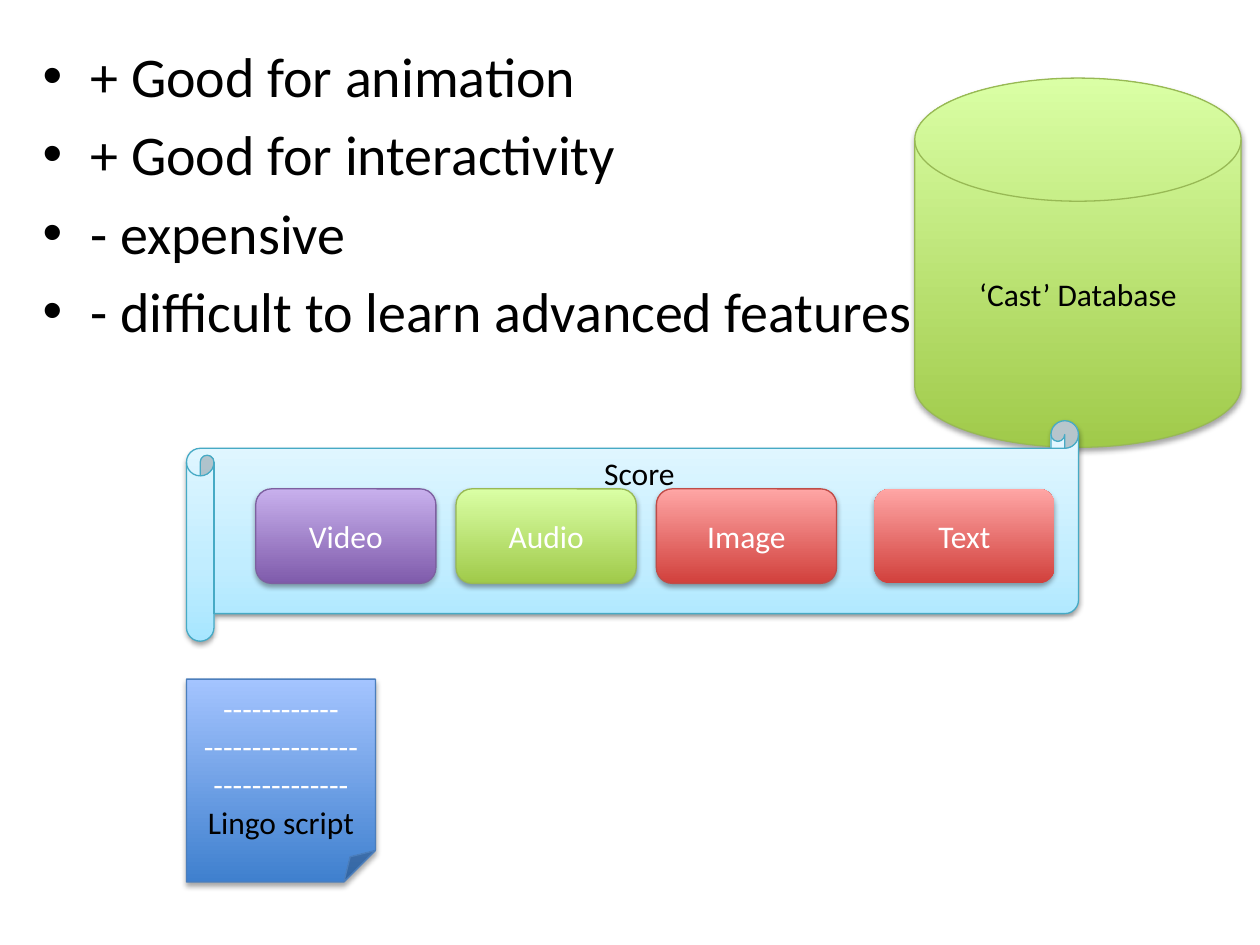
from copy import deepcopy

from lxml.etree import SubElement
from pptx import Presentation
from pptx.dml.color import RGBColor as RGB
from pptx.enum.shapes import MSO_SHAPE as SHAPE
from pptx.enum.text import MSO_ANCHOR as ANCHOR, PP_ALIGN as ALIGN
from pptx.oxml.ns import qn
from pptx.util import Inches, Pt

# Gradients run from bottom to top as (position, colour)
THEME = {
    "font": "Calibri", "body": 32, "label": 18,
    "dark": "000000", "light": "FFFFFF",
    "green": ([(0, "A0CA4A"), (1, "DAFFA5")], "98B955"),
    "blue": ([(0, "3F80CE"), (1, "A4C4FF")], "4B7EBC"),
    "aqua": ([(0, "A7E6FF"), (0.35, "C1EDFF"), (1, "E7F8FF")], "46AAC5"),
    "purple": ([(0, "7F5BAB"), (1, "C8B0ED")], "7D60A0"),
    "red": ([(0, "D1403C"), (1, "FFA6A5")], "BF4C48"),
    "red plain": ([(0, "D1403C"), (1, "FFA6A5")], None),
}

prs = Presentation()
prs.slide_width, prs.slide_height = Inches(10), Inches(7.5)
s = prs.slides.add_slide(prs.slide_layouts[6])
COL, ROW = prs.slide_width / 100, prs.slide_height / 100


def style(r, size, color):
    r.font.name, r.font.size = THEME["font"], Pt(THEME[size])
    r.font.color.rgb = RGB.from_string(THEME[color])


def add_block(kind, x, y, w, h, paint, lines, color, shadow=(1.8, 35)):
    """Add a gradient shape with a soft shadow; place and size are in COL and ROW."""
    sp = s.shapes.add_shape(kind, int(x * COL), int(y * ROW), int(w * COL), int(h * ROW))
    stops, outline = THEME[paint]
    spPr = sp._element.spPr

    # Fill and outline
    sp.fill.gradient()
    sp.fill.gradient_angle = 90
    gs = spPr.find(".//" + qn("a:gsLst"))
    while len(gs) < len(stops):
        gs.insert(1, deepcopy(gs[0]))
    for stop, (position, tint) in zip(sp.fill.gradient_stops, stops):
        stop.position, stop.color.rgb = position, RGB.from_string(tint)
    if outline:
        sp.line.color.rgb, sp.line.width = RGB.from_string(outline), Pt(0.75)
    else:
        sp.line.fill.background()

    # Shadow
    distance, opacity = shadow
    sp.shadow.inherit = False
    outer = SubElement(spPr.find(qn("a:effectLst")), qn("a:outerShdw"), blurRad=str(Pt(3.1)),
                       dist=str(Pt(distance)), dir="5400000", rotWithShape="0")
    black = SubElement(outer, qn("a:srgbClr"), val=THEME["dark"])
    SubElement(black, qn("a:alpha"), val=str(opacity * 1000))

    # Label
    tf = sp.text_frame
    tf.word_wrap, tf.vertical_anchor = True, ANCHOR.MIDDLE
    tf.text = "\n".join(lines)
    for p in tf.paragraphs:
        p.alignment = ALIGN.CENTER
        for r in p.runs:
            style(r, "label", color)
    return sp


# Pros and cons
tf = s.shapes.add_textbox(int(2.4 * COL), int(3.73 * ROW), 90 * COL, 48 * ROW).text_frame
tf.word_wrap = True
tf.text = "\n".join(["+ Good for animation", "+ Good for interactivity",
                     "- expensive", "- difficult to learn advanced features"])
indent = Inches(0.38)
for p in tf.paragraphs:
    p.space_before = Pt(0.2 * THEME["body"])
    pPr = p._p.get_or_add_pPr()
    pPr.set("marL", str(indent))
    pPr.set("indent", str(-indent))
    SubElement(pPr, qn("a:buFont"), typeface="Arial")
    SubElement(pPr, qn("a:buChar"), char="•")
    style(p.runs[0], "body", "dark")

# Cast database
add_block(SHAPE.FLOWCHART_MAGNETIC_DISK, 72.6, 8.27, 25.9, 39.07, "green",
          ["‘Cast’ Database"], "dark")

# Script page, with its name after the last dashes
sp = add_block(SHAPE.FOLDED_CORNER, 14.8, 71.87, 15, 21.47, "blue",
               ["-" * n for n in (12, 16, 14)], "light")
r = sp.text_frame.paragraphs[-1].add_run()
r.text = "Lingo script"
style(r, "label", "dark")

# Score scroll, titled along its top edge
sp = add_block(SHAPE.HORIZONTAL_SCROLL, 14.8, 44.53, 70.8, 23.33, "aqua",
               ["Score"], "dark", shadow=(1.6, 38))
sp.text_frame.vertical_anchor = ANCHOR.TOP

# Media on the score; the last one stands a little apart
FIRST, PITCH, GAP = 20.3, 15.9, 1.4
media = [("Video", "purple"), ("Audio", "green"), ("Image", "red"), ("Text", "red plain")]
for i, (name, paint) in enumerate(media):
    x = FIRST + i * PITCH + (GAP if name == "Text" else 0)
    add_block(SHAPE.ROUNDED_RECTANGLE, x, 51.73, 14.3, 10, paint, [name], "light")

prs.save("out.pptx")
